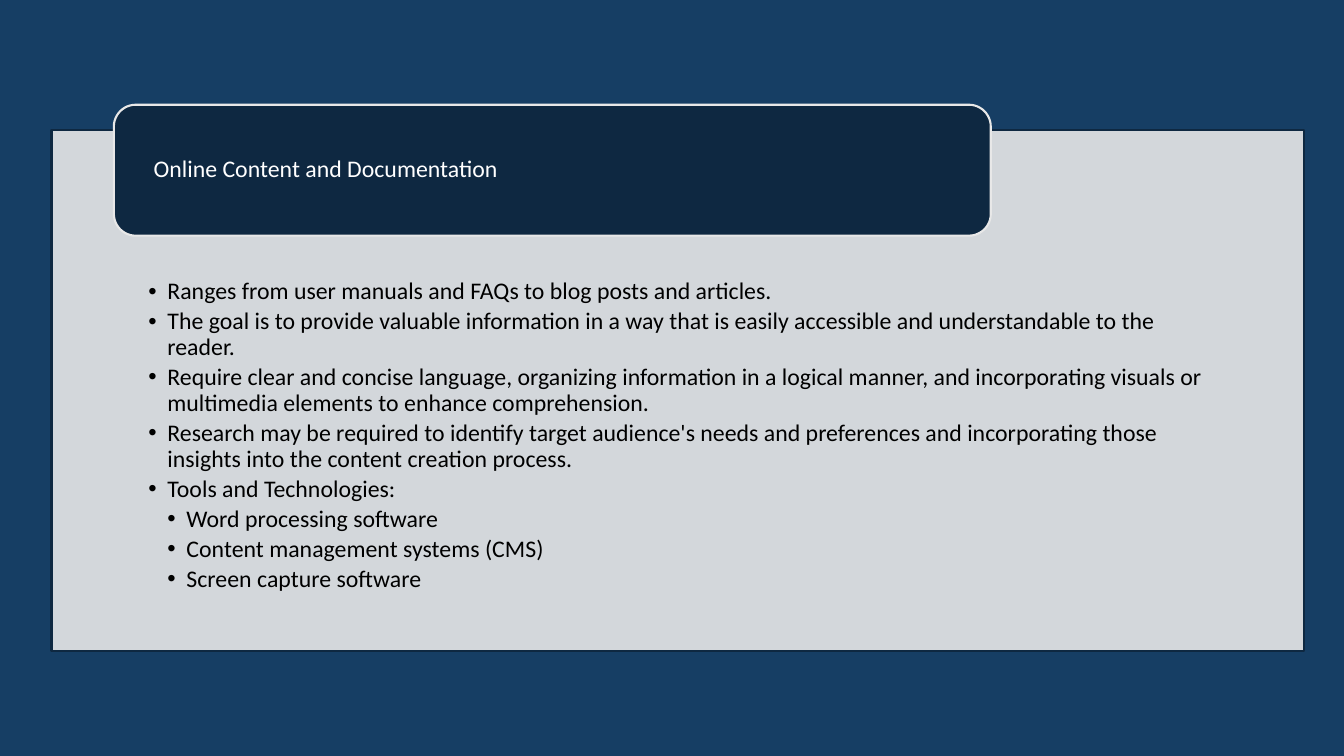
from lxml import etree
from pptx import Presentation
from pptx.dml.color import RGBColor
from pptx.enum.shapes import MSO_SHAPE as SHAPE
from pptx.enum.text import MSO_ANCHOR as ANCHOR, PP_ALIGN as ALIGN
from pptx.oxml.ns import qn
from pptx.util import Cm, Pt

COLORS = {"back": "163E64", "navy": "0E2841", "pale": "E8E8E8",
          "black": "000000", "white": "FFFFFF"}
TITLE = "Online Content and Documentation"
POINTS = [
    (1, "Ranges from user manuals and FAQs to blog posts and articles."),
    (1, "The goal is to provide valuable information in a way that is easily "
        "accessible and understandable to the reader."),
    (1, "Require clear and concise language, organizing information in a logical manner, "
        "and incorporating visuals or multimedia elements to enhance comprehension."),
    (1, "Research may be required to identify target audience's needs and preferences "
        "and incorporating those insights into the content creation process."),
    (1, "Tools and Technologies:"),
    (2, "Word processing software"),
    (2, "Content management systems (CMS)"),
    (2, "Screen capture software"),
]


def rgb(name):
    return RGBColor.from_string(COLORS[name])


def add_panel(s, kind, box, fill, line, margins, anchor):
    sp = s.shapes.add_shape(kind, *map(Cm, box))
    sp.shadow.inherit = False
    sp.fill.solid()
    sp.fill.fore_color.rgb = rgb(fill)
    sp.line.color.rgb = rgb(line)
    sp.line.width = Pt(1.5)
    tf = sp.text_frame
    tf.word_wrap = True
    tf.vertical_anchor = anchor
    tf.margin_left, tf.margin_top, tf.margin_right, tf.margin_bottom = map(Cm, margins)
    return sp


def set_opacity(sp, percent):
    color = sp.fill._xPr.find(qn("a:solidFill"))[0]
    etree.SubElement(color, qn("a:alpha")).set("val", str(percent * 1000))


def format_paragraph(p, color):
    p.alignment = ALIGN.LEFT
    p.line_spacing = 0.9
    for r in p.runs:
        r.font.name = "Calibri"
        r.font.size = Pt(17)
        r.font.color.rgb = rgb(color)


def add_bullet(p, level):
    p.level = level
    pPr = p._p.get_or_add_pPr()
    pPr.set("marL", str(Cm(0.48 * level)))
    pPr.set("indent", str(-Cm(0.48)))
    etree.SubElement(pPr, qn("a:buFont")).set("typeface", "Arial")
    etree.SubElement(pPr, qn("a:buChar")).set("char", "•")


def fill_bullets(tf, points):
    tf.text = "\n".join(text for _, text in points)
    for p, (level, _) in zip(tf.paragraphs, points):
        add_bullet(p, level)
        format_paragraph(p, "black")
        p.space_after = Pt(3.1)


def main():
    """Build the slide and save it."""
    prs = Presentation()
    prs.slide_width, prs.slide_height = Cm(33.87), Cm(19.05)
    s = prs.slides.add_slide(prs.slide_layouts[6])
    s.background.fill.solid()
    s.background.fill.fore_color.rgb = rgb("back")

    body = add_panel(s, SHAPE.RECTANGLE, (1.3, 3.28, 31.57, 13.13), "pale", "navy",
                     (2.44, 3.76, 2.44, 0.33), ANCHOR.TOP)
    set_opacity(body, 90)
    fill_bullets(body.text_frame, POINTS)

    header = add_panel(s, SHAPE.ROUNDED_RECTANGLE, (2.87, 2.64, 22.1, 3.3), "navy", "pale",
                       (0.84, 0, 0.84, 0), ANCHOR.MIDDLE)
    header.text_frame.text = TITLE
    format_paragraph(header.text_frame.paragraphs[0], "white")

    prs.save("out.pptx")


if __name__ == "__main__":
    main()
